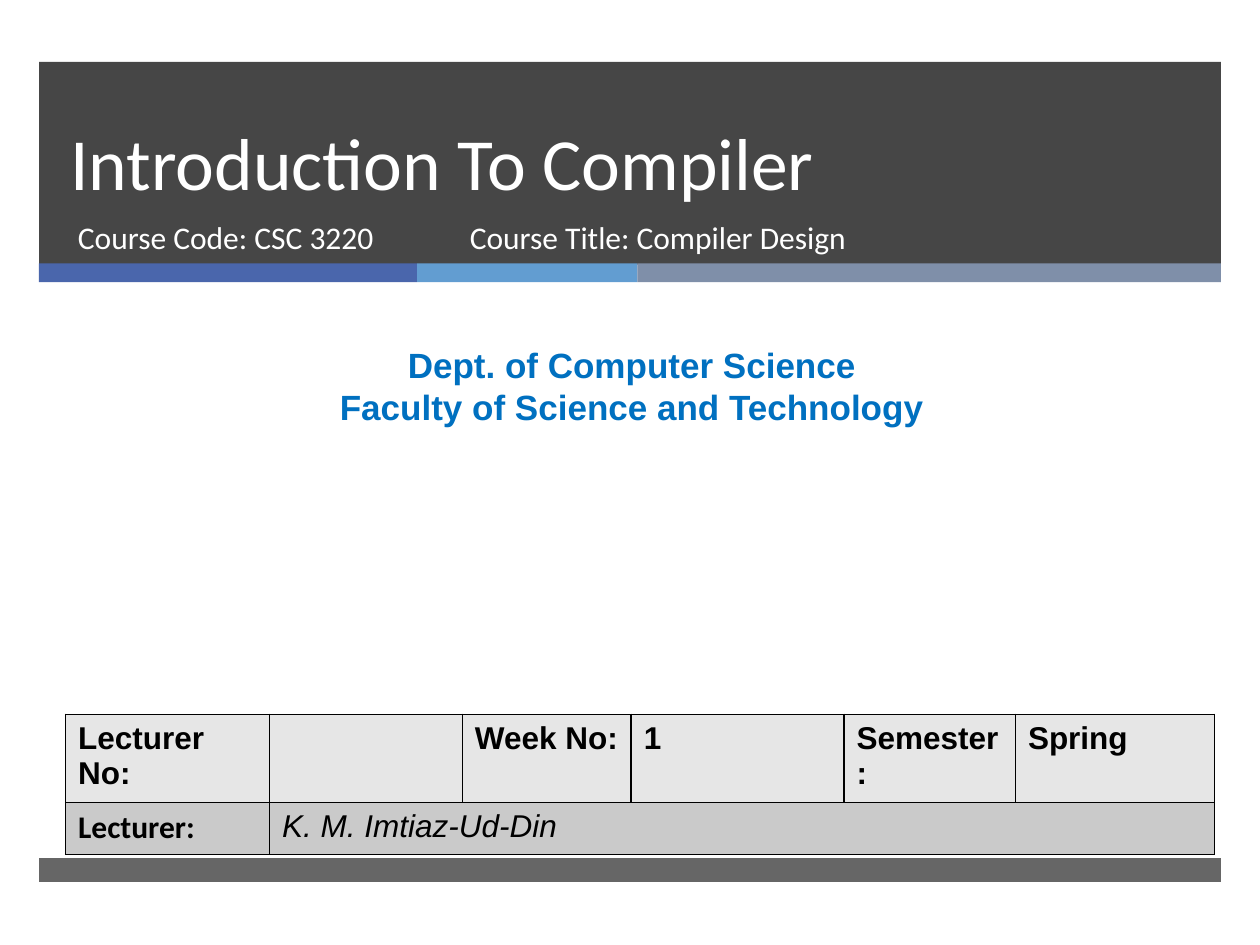
from pptx import Presentation
from pptx import util as u
from pptx.dml.color import RGBColor
from pptx.enum import shapes, text
from pptx.oxml import ns, xmlchemy

Inches = u.Inches
WHITE, BLACK, DARK, BLUE = "FFFFFF", "000000", "262626", "0070C0"
STRIPES = [("4A66AC", 3), ("629DD1", 1.75), ("7F8FA9", 4.63)]
COLUMNS = [1.62, 1.53, 1.34, 1.69, 1.36, 1.58]
ROW_HEIGHT = 0.41
DETAILS = ["Lecturer No:", "", "Week No:", "1", "Semester:", "Spring"]


def colour(value):
    """Turn a hex string into a colour."""
    return RGBColor.from_string(value)


def add_child(parent, tag, **attributes):
    """Append an XML element to a parent and return it."""
    child = xmlchemy.OxmlElement(tag)
    for name, value in attributes.items():
        child.set(name, str(value))
    parent.append(child)
    return child


def style(para, size, font, hex_value, bold=False, italic=False):
    """Format a whole paragraph."""
    para.font.size, para.font.name = u.Pt(size), font
    para.font.bold, para.font.italic = bold, italic
    para.font.color.rgb = colour(hex_value)


def add_bar(page, left, top, width, height, hex_value, opacity=100):
    """Draw a plain filled rectangle."""
    bar = page.shapes.add_shape(
        shapes.MSO_SHAPE.RECTANGLE, *map(Inches, (left, top, width, height)))
    bar.shadow.inherit = False
    bar.fill.solid()
    bar.fill.fore_color.rgb = colour(hex_value)
    bar.line.fill.background()
    if opacity < 100:
        fill = bar.element.spPr.find(ns.qn("a:solidFill"))
        add_child(fill[0], "a:alpha", val=opacity * 1000)


def add_text(page, left, top, width, height, lines, size, font, hex_value,
             bold=False, align=text.PP_ALIGN.LEFT):
    """Place a wrapped text box with one paragraph per line."""
    box = page.shapes.add_textbox(*map(Inches, (left, top, width, height)))
    frame = box.text_frame
    frame.word_wrap = True
    frame.text = "\n".join(lines)
    for para in frame.paragraphs:
        para.alignment = align
        style(para, size, font, hex_value, bold)


def add_header(page, left, top, width):
    """Build the dark banner with its title, course lines and stripes."""
    add_bar(page, left, top, width, 1.61, DARK, 85)
    stripe_left = left
    for hex_value, stripe_width in STRIPES:
        add_bar(page, stripe_left, top + 1.6, stripe_width, 0.15, hex_value)
        stripe_left += stripe_width

    title = page.shapes.title
    title.left, title.top = Inches(left + 0.15), Inches(top)
    title.width, title.height = Inches(8.54), Inches(1.19)
    frame = title.text_frame
    frame.text = "Introduction To Compiler"
    frame.auto_size = text.MSO_AUTO_SIZE.NONE
    frame.vertical_anchor = text.MSO_ANCHOR.BOTTOM
    para = frame.paragraphs[0]
    para.alignment, para.line_spacing = text.PP_ALIGN.LEFT, 1.1
    style(para, 42, "Calibri", WHITE)

    for offset, line_width, line in [(0.21, 3.05, "Course Code: CSC 3220"),
                                     (3.32, 4.55, "Course Title: Compiler Design")]:
        add_text(page, left + offset, top + 1.19, line_width, 0.53, [line],
                 18, "Calibri", WHITE)


def fill_cell(cell, words, hex_value, font="Arial", bold=True, italic=False):
    """Give a table cell its borders, fill and text."""
    properties = cell._tc.get_or_add_tcPr()
    for side in "LRTB":
        line = add_child(properties, f"a:ln{side}", w=u.Pt(1))
        add_child(add_child(line, "a:solidFill"), "a:srgbClr", val=BLACK)
    cell.fill.solid()
    cell.fill.fore_color.rgb = colour(hex_value)
    cell.text = words
    style(cell.text_frame.paragraphs[0], 18, font, BLACK, bold, italic)


def add_details(page, left, top):
    """Build the lecture details table."""
    table = page.shapes.add_table(
        2, len(COLUMNS), Inches(left), Inches(top),
        Inches(sum(COLUMNS)), Inches(2 * ROW_HEIGHT)).table
    table.first_row = table.horz_banding = False
    for column, width in zip(table.columns, COLUMNS):
        column.width = Inches(width)
    for index, words in enumerate(DETAILS):
        fill_cell(table.cell(0, index), words, "E6E6E6")
        fill_cell(table.cell(1, index), "", "CACACA")
    table.cell(1, 1).merge(table.cell(1, len(COLUMNS) - 1))
    for index, words, font, is_name in [(0, "Lecturer:", "Calibri", False),
                                        (1, "K. M. Imtiaz-Ud-Din", "Arial", True)]:
        cell = table.cell(1, index)
        cell.text = words
        style(cell.text_frame.paragraphs[0], 18, font, BLACK, not is_name, is_name)


def main():
    """Build the opening slide and save it."""
    deck = Presentation()
    deck.slide_width, deck.slide_height = Inches(10), Inches(7.5)
    page = deck.slides.add_slide(deck.slide_layouts[5])
    title = page.shapes.title.element
    add_header(page, 0.31, 0.49, 9.38)
    page.shapes._spTree.remove(title)
    page.shapes._spTree.append(title)
    add_bar(page, 0.31, 6.81, 9.38, 0.19, DARK, 70)
    add_text(page, 0.08, 2.68, 9.87, 0.77,
             ["Dept. of Computer Science", "Faculty of Science and Technology"],
             20, "Arial", BLUE, True, text.PP_ALIGN.CENTER)
    add_details(page, 0.52, 5.67)
    deck.save("out.pptx")


if __name__ == "__main__":
    main()
